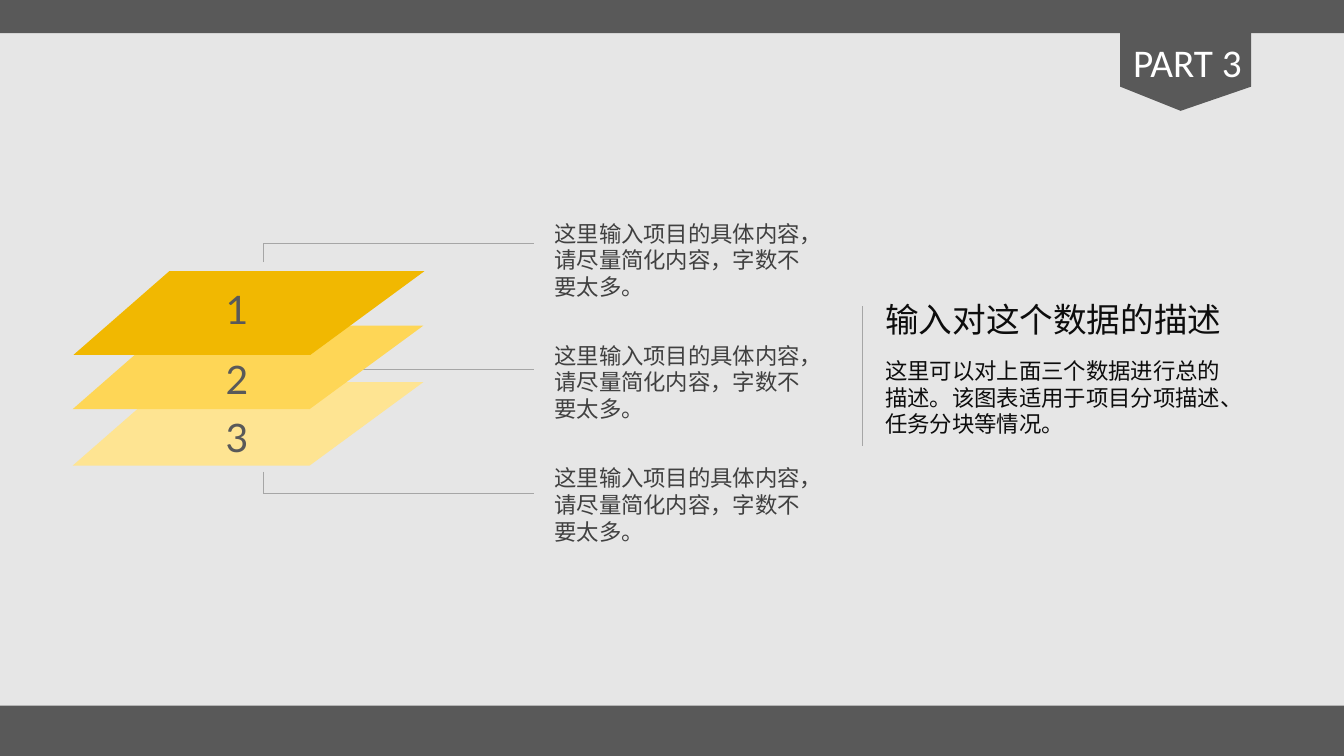
"""Build the PART 3 slide: three stacked layers with notes and a summary."""
from lxml import etree
from pptx import Presentation
from pptx.dml.color import RGBColor
from pptx.enum.shapes import MSO_CONNECTOR, MSO_SHAPE
from pptx.enum.text import MSO_ANCHOR, MSO_AUTO_SIZE, PP_ALIGN
from pptx.oxml.ns import qn
from pptx.util import Inches, Pt

RECTANGLE = MSO_SHAPE.RECTANGLE
STRAIGHT = MSO_CONNECTOR.STRAIGHT
TOP = MSO_ANCHOR.TOP
LEFT = PP_ALIGN.LEFT
NO_AUTOFIT = MSO_AUTO_SIZE.NONE

COLORS = {
    "background": "E6E6E6", "band": "595959", "tag": "FFFFFF",
    "note": "404040", "summary": "0D0D0D", "rule": "A6A6A6",
}
CJK = "Noto Sans CJK SC"
PART = "PART 3"
HEADING = "输入对这个数据的描述"
SUMMARY = "这里可以对上面三个数据进行总的描述。该图表适用于项目分项描述、任务分块等情况。"
NOTE = "这里输入项目的具体内容，请尽量简化内容，字数不要太多。"
NOTE_TOPS = [2.13, 3.34, 4.56]
BANDS = [(0, 0.33), (7, 0.5)]
RIBBON = [(12.41, 0.33), (12.41, 0.86), (11.71, 1.1), (11.11, 0.86), (11.11, 0.33)]
LAYER_OUTLINE = [(0.95, 0), (3.48, 0), (2.35, 0.83), (0, 0.83)]
LAYERS = [
    ("3", 0.72, 3.79, 4.05, "FEE492"),
    ("2", 0.72, 3.23, 3.48, "FED656"),
    ("1", 0.73, 2.69, 2.78, "F1B801"),
]
RULES = [
    (2.61, 2.6, 2.61, 2.41, 0.75),
    (2.61, 2.41, 5.3, 2.41, 0.5),
    (2.61, 4.68, 2.61, 4.89, 0.75),
    (2.61, 4.89, 5.3, 4.89, 0.5),
    (3.6, 3.66, 5.3, 3.66, 0.5),
    (8.55, 3.04, 8.55, 4.42, 0.5),
]


def paint(shape, color):
    shape.shadow.inherit = False
    shape.fill.solid()
    shape.fill.fore_color.rgb = RGBColor.from_string(color)
    shape.line.fill.background()


def add_outline(slide, points, color):
    corners = [(Inches(x), Inches(y)) for x, y in points]
    builder = slide.shapes.build_freeform(*corners[0])
    builder.add_line_segments(corners[1:], close=True)
    paint(builder.convert_to_shape(), color)


def write(box, text, size, font_name, color):
    frame = box.text_frame
    frame.text = text
    frame.word_wrap = True
    frame.auto_size = NO_AUTOFIT
    frame.vertical_anchor = TOP
    paragraph = frame.paragraphs[0]
    paragraph.alignment = LEFT
    paragraph.space_before = Pt(0)
    font = paragraph.font
    font.size = Pt(size)
    font.bold = False
    font.name = font_name
    font.color.rgb = RGBColor.from_string(color)
    properties = paragraph._p.pPr.find(qn("a:defRPr"))
    etree.SubElement(properties, qn("a:ea")).set("typeface", font_name)


def add_text(slide, area, *style):
    write(slide.shapes.add_textbox(*map(Inches, area)), *style)


def fill_placeholder(placeholder, area, *style):
    placeholder.left, placeholder.top, placeholder.width, placeholder.height = map(Inches, area)
    write(placeholder, *style)


def add_rule(slide, x1, y1, x2, y2, weight):
    rule = slide.shapes.add_connector(STRAIGHT, *map(Inches, (x1, y1, x2, y2)))
    rule.line.color.rgb = RGBColor.from_string(COLORS["rule"])
    rule.line.width = Pt(weight)
    etree.SubElement(rule._element.spPr, qn("a:effectLst"))


def main():
    deck = Presentation()
    deck.slide_width, deck.slide_height = Inches(13.33), Inches(7.5)
    slide = deck.slides.add_slide(deck.slide_layouts.get_by_name("Section Header"))
    slide.background.fill.solid()
    slide.background.fill.fore_color.rgb = RGBColor.from_string(COLORS["background"])

    for top, height in BANDS:
        band = slide.shapes.add_shape(RECTANGLE, 0, Inches(top), deck.slide_width, Inches(height))
        paint(band, COLORS["band"])
    add_outline(slide, RIBBON, COLORS["band"])
    add_text(slide, (11.14, 0.33, 1.37, 0.57), PART, 28, "Calibri", COLORS["tag"])

    for top in NOTE_TOPS:
        add_text(slide, (5.4, top, 2.68, 0.91), NOTE, 16, CJK, COLORS["note"])
    for rule in RULES:
        add_rule(slide, *rule)
    for _, left, top, _, color in LAYERS:
        add_outline(slide, [(left + x, top + y) for x, y in LAYER_OUTLINE], color)
    for number, _, _, number_top, _ in LAYERS:
        add_text(slide, (2.14, number_top, 0.47, 0.57), number, 28, "Lato", COLORS["band"])

    fill_placeholder(slide.shapes.title, (8.68, 2.92, 3.66, 0.5),
                     HEADING, 24, CJK, COLORS["summary"])
    fill_placeholder(slide.placeholders[1], (8.68, 3.49, 3.58, 0.91),
                     SUMMARY, 16, CJK, COLORS["summary"])
    deck.save("out.pptx")


if __name__ == "__main__":
    main()
